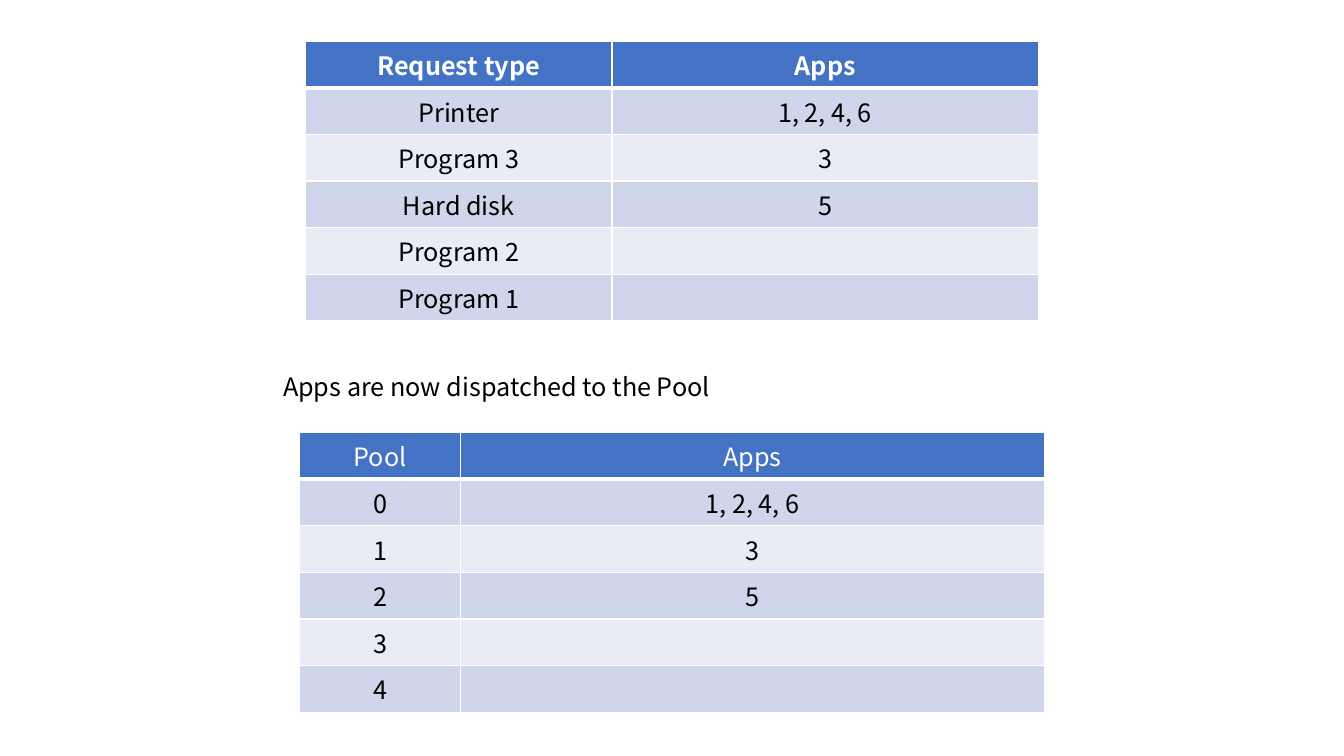
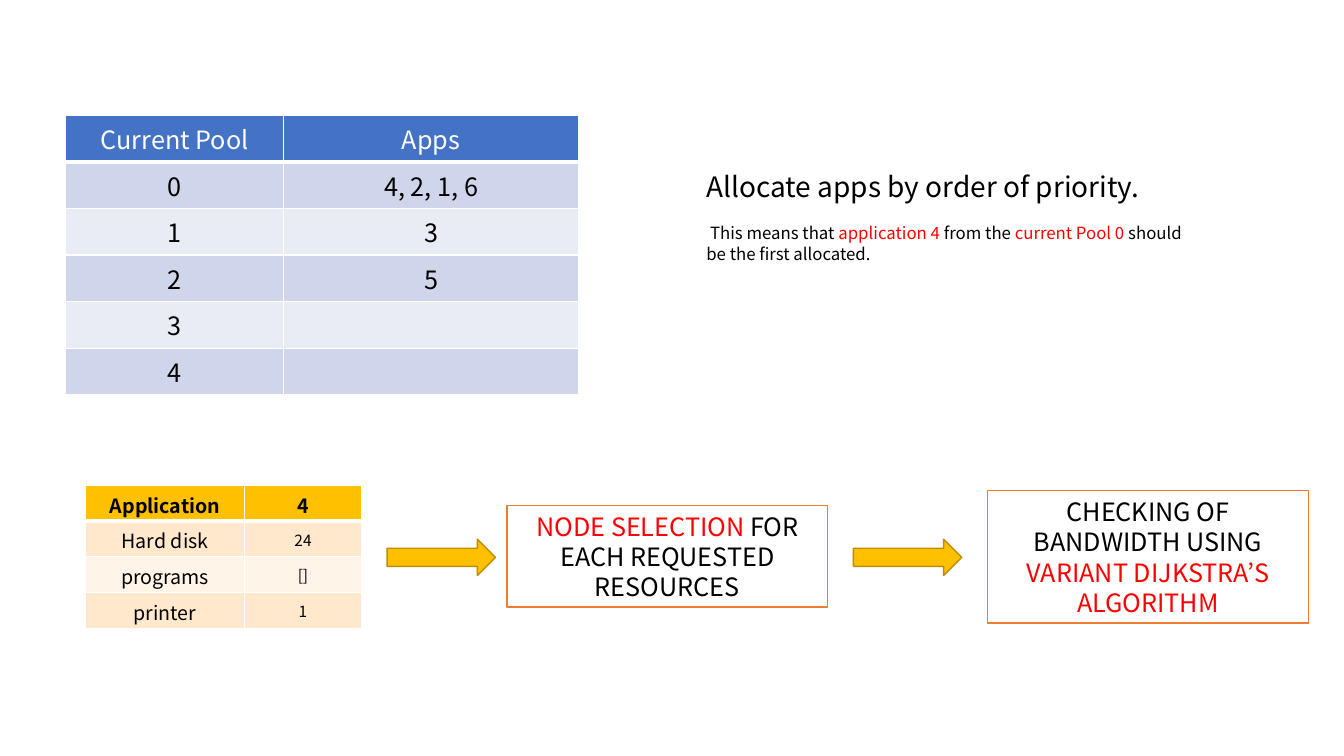
"""Build two slides on dispatching apps to a pool and allocating them."""
import pptx
import pptx.dml.color
import pptx.enum.shapes
import pptx.enum.text
import pptx.oxml
import pptx.oxml.ns
import pptx.util

Pt = pptx.util.Pt
CENTER = pptx.enum.text.PP_ALIGN.CENTER
MIDDLE = pptx.enum.text.MSO_ANCHOR.MIDDLE
SHAPES = pptx.enum.shapes.MSO_SHAPE

FONT = "Noto Sans CJK JP"
WHITE, BLACK, RED = "FFFFFF", "000000", "FF0000"
GOLD, GOLD_EDGE, ORANGE = "FFC000", "BD8E00", "ED7D31"
BLUE_STYLE = {"header": "4472C4", "header_text": WHITE, "bands": ("CFD5EA", "E9EBF5"),
              "size": 18, "row_height": 33.3}
GOLD_STYLE = {"header": GOLD, "header_text": BLACK, "bands": ("FFE8CC", "FFF4E7"),
              "size": 14, "row_height": 25.6}


def paint(target, color):
    """Give a fill or a font one solid colour."""
    if hasattr(target, "solid"):
        target.solid()
        target.fore_color.rgb = pptx.dml.color.RGBColor.from_string(color)
    else:
        target.color.rgb = pptx.dml.color.RGBColor.from_string(color)


def write(paragraph, pieces, size, bold=False):
    """Write (text, colour) pieces as runs of one paragraph."""
    for text, color in pieces:
        run = paragraph.add_run()
        run.text = text
        run.font.name = FONT
        run.font.size = Pt(size)
        run.font.bold = bold
        paint(run.font, color)


presentation = pptx.Presentation()
presentation.slide_width = Pt(960)
presentation.slide_height = Pt(540)
dispatch_slide, allocation_slide = [
    presentation.slides.add_slide(presentation.slide_layouts[6]) for _ in range(2)]

pool_rows = [("1", "3"), ("2", "5"), ("3", ""), ("4", "")]
request_rows = [("Request type", "Apps"), ("Printer", "1, 2, 4, 6"), ("Program 3", "3"),
                ("Hard disk", "5"), ("Program 2", ""), ("Program 1", "")]
dispatched_rows = [("Pool", "Apps"), ("0", "1, 2, 4, 6")] + pool_rows
current_rows = [("Current Pool", "Apps"), ("0", "4, 2, 1, 6")] + pool_rows
application_rows = [("Application", "4"), ("Hard disk", "24"), ("programs", "[]"), ("printer", "1")]

tables = [
    (dispatch_slide, 218.2, 29.5, (219, 304.4), request_rows, BLUE_STYLE, True),
    (dispatch_slide, 214, 309, (115, 417), dispatched_rows, BLUE_STYLE, False),
    (allocation_slide, 47, 82.3, (155.5, 211), current_rows, BLUE_STYLE, False),
    (allocation_slide, 61.2, 346.5, (113.5, 83.5), application_rows, GOLD_STYLE, True),
]
for slide, left, top, widths, rows, style, bold_header in tables:
    table = slide.shapes.add_table(
        len(rows), len(widths), Pt(left), Pt(top), Pt(sum(widths)),
        Pt(style["row_height"] * len(rows))).table
    table.horz_banding = False
    for column, width in zip(table.columns, widths):
        column.width = Pt(width)
    for row_index, texts in enumerate(rows):
        table.rows[row_index].height = Pt(style["row_height"])
        is_header = row_index == 0
        for column_index, text in enumerate(texts):
            cell = table.cell(row_index, column_index)
            size = style["size"]
            if style is GOLD_STYLE:
                cell.vertical_anchor = MIDDLE
                if column_index == 1 and not is_header:
                    size = 11
                    cell.margin_left = cell.margin_right = cell.margin_top = Pt(0.7)
                    cell.margin_bottom = Pt(0)
            properties = cell._tc.get_or_add_tcPr()
            for side in "LRTB":
                thick = (row_index, side) in ((0, "B"), (1, "T"))
                properties.append(pptx.oxml.parse_xml(
                    f'<a:ln{side} {pptx.oxml.ns.nsdecls("a")} w="{Pt(3 if thick else 1)}">'
                    f'<a:solidFill><a:srgbClr val="{WHITE}"/></a:solidFill></a:ln{side}>'))
            paint(cell.fill, style["header"] if is_header else style["bands"][(row_index - 1) % 2])
            paragraph = cell.text_frame.paragraphs[0]
            paragraph.alignment = CENTER
            if text:
                color = style["header_text"] if is_header else BLACK
                write(paragraph, [(text, color)], size, is_header and bold_header)

text_boxes = [
    (dispatch_slide, 195.1, 262, 373.7, 29, [
        (18, [("Apps are now dispatched to the Pool", BLACK)])]),
    (allocation_slide, 497.5, 117.4, 367.2, 75, [
        (20, [("Allocate apps by order of priority.", BLACK)]),
        (12, [(" This means that ", BLACK), ("application 4 ", RED), ("from the ", BLACK),
              ("current Pool 0 ", RED), ("should be the first allocated.", BLACK)])]),
]
for slide, left, top, width, height, lines in text_boxes:
    text_frame = slide.shapes.add_textbox(Pt(left), Pt(top), Pt(width), Pt(height)).text_frame
    text_frame.word_wrap = True
    for index, (size, pieces) in enumerate(lines):
        paragraph = text_frame.add_paragraph() if index else text_frame.paragraphs[0]
        paragraph.line_spacing = Pt(size * 1.2)
        if index:
            paragraph.space_before = Pt(14.4)
        write(paragraph, pieces, size)

node_step = [("NODE SELECTION ", RED), ("FOR EACH REQUESTED RESOURCES", BLACK)]
bandwidth_step = [("CHECKING OF BANDWIDTH USING ", BLACK), ("VARIANT DIJKSTRA’S ALGORITHM", RED)]
flow = [
    (SHAPES.RIGHT_ARROW, 276.5, 385.2, 77.4, 25.9, GOLD, GOLD_EDGE, []),
    (SHAPES.RECTANGLE, 362, 360.9, 229.3, 72.7, WHITE, ORANGE, node_step),
    (SHAPES.RIGHT_ARROW, 609.6, 385.2, 77.4, 25.9, GOLD, GOLD_EDGE, []),
    (SHAPES.RECTANGLE, 705.4, 350.6, 229.3, 94.5, WHITE, ORANGE, bandwidth_step),
]
for kind, left, top, width, height, fill, edge, pieces in flow:
    shape = allocation_slide.shapes.add_shape(kind, Pt(left), Pt(top), Pt(width), Pt(height))
    shape.shadow.inherit = False
    paint(shape.fill, fill)
    paint(shape.line.fill, edge)
    shape.line.width = Pt(1)
    if pieces:
        shape.text_frame.word_wrap = True
        shape.text_frame.vertical_anchor = MIDDLE
        paragraph = shape.text_frame.paragraphs[0]
        paragraph.alignment = CENTER
        paragraph.line_spacing = Pt(21.6)
        write(paragraph, pieces, 18)

presentation.save("out.pptx")
